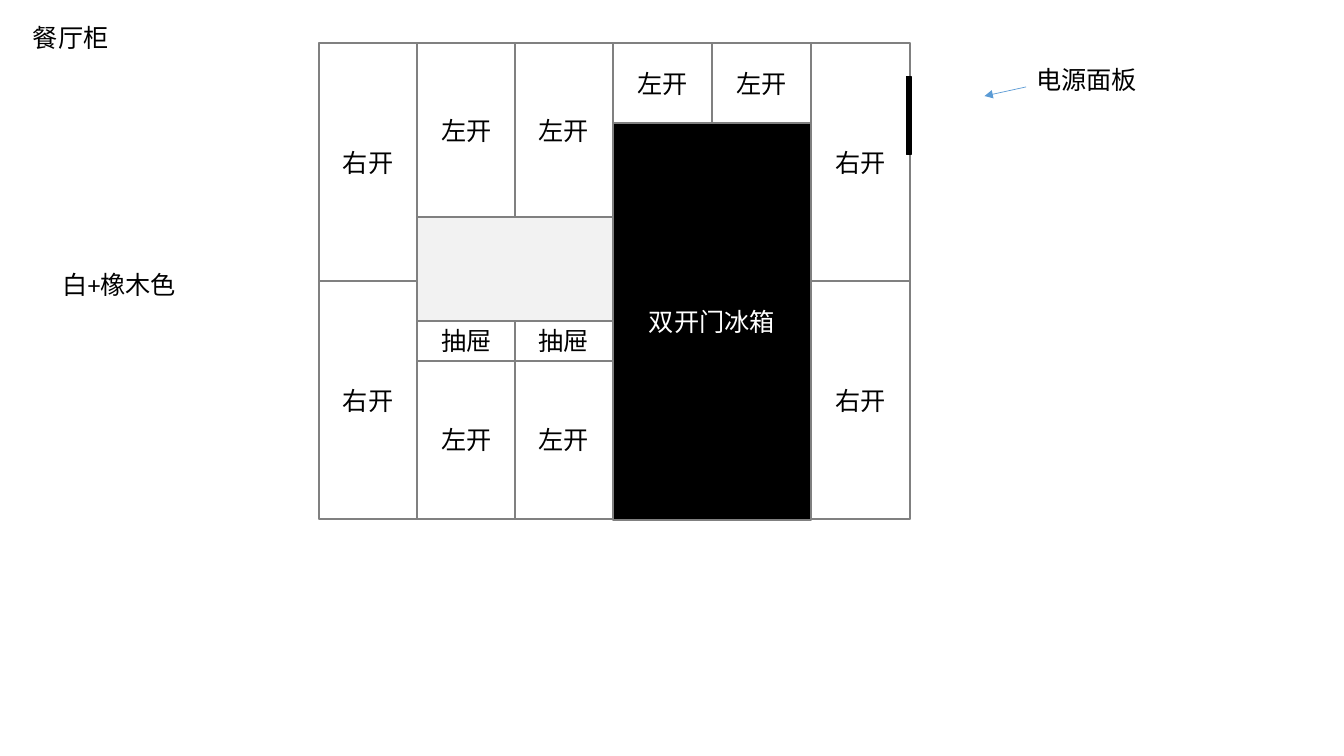
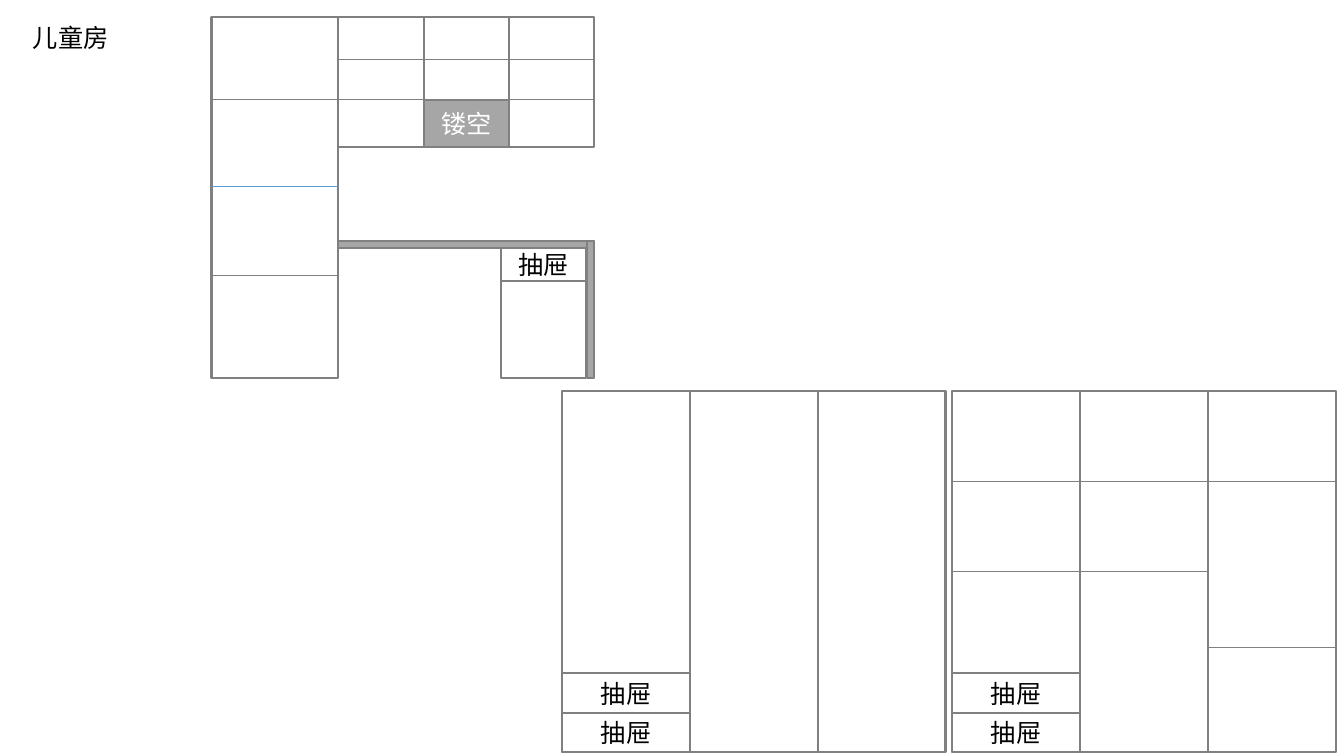
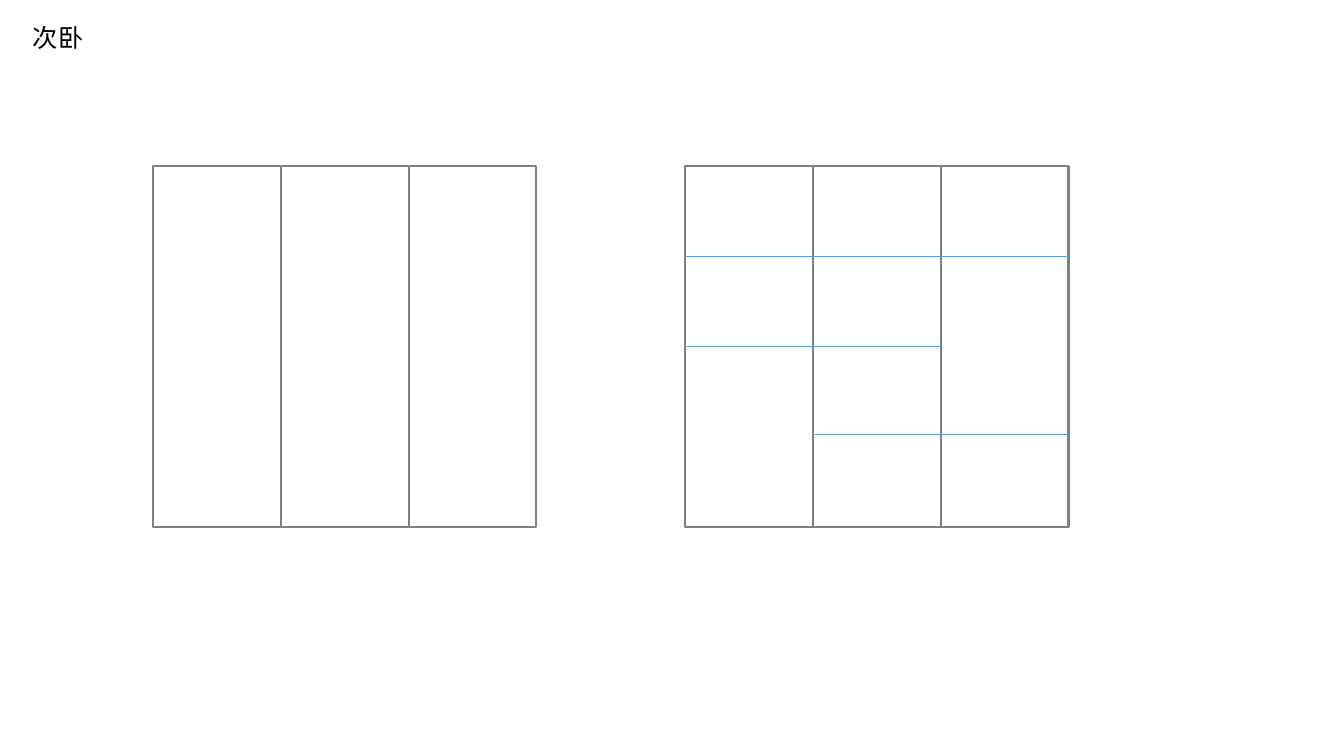
from dataclasses import dataclass

from lxml.etree import SubElement
from pptx import Presentation
from pptx.dml.color import RGBColor
from pptx.enum.shapes import MSO_CONNECTOR, MSO_SHAPE
from pptx.enum.text import MSO_ANCHOR, PP_ALIGN
from pptx.oxml.ns import qn
from pptx.util import Cm, Pt


@dataclass(frozen=True)
class Theme:
    black: str = "000000"
    white: str = "FFFFFF"
    edge: str = "808080"
    grey: str = "A6A6A6"
    pale: str = "F2F2F2"
    pale_edge: str = "D9D9D9"
    blue: str = "5B9BD5"
    latin: str = "Calibri"
    cjk: str = "Noto Sans CJK SC"
    size: float = 18
    border: float = 1.5
    thin: float = 0.5


T = Theme()
BAY_W, WARDROBE_H, DRAWER_H = 3.22, 9.09, 0.99


def write(tf, text, color=T.black, font=T.latin, align=PP_ALIGN.LEFT,
          anchor=MSO_ANCHOR.TOP, wrap=True):
    tf.word_wrap = wrap
    tf.vertical_anchor = anchor
    p = tf.paragraphs[0]
    p.alignment = align
    r = p.add_run()
    r.text = text
    r.font.size = Pt(T.size)
    r.font.name = font
    r.font.color.rgb = RGBColor.from_string(color)
    SubElement(r._r.get_or_add_rPr(), qn("a:ea"), typeface=T.cjk)


class Sketch:
    """Draws furniture elevations; all lengths are centimetres."""

    def __init__(self, prs):
        self.prs = prs
        self.s = None

    def page(self, title):
        self.s = self.prs.slides.add_slide(self.prs.slide_layouts[6])
        self.label(title, 0.58, 0.43, 2.44, font=T.cjk)

    def label(self, text, x, y, w, font=T.latin, wrap=False):
        sp = self.s.shapes.add_textbox(Cm(x), Cm(y), Cm(w), Cm(1.02))
        write(sp.text_frame, text, font=font, wrap=wrap)

    def box(self, x, y, w, h, text="", fill=T.white, color=T.black,
            edge=T.edge, border=T.border):
        sp = self.s.shapes.add_shape(MSO_SHAPE.RECTANGLE, Cm(x), Cm(y), Cm(w), Cm(h))
        sp.shadow.inherit = False
        sp.fill.solid()
        sp.fill.fore_color.rgb = RGBColor.from_string(fill)
        sp.line.color.rgb = RGBColor.from_string(edge)
        sp.line.width = Pt(border)
        if text:
            write(sp.text_frame, text, color=color, align=PP_ALIGN.CENTER,
                  anchor=MSO_ANCHOR.MIDDLE)

    def line(self, x1, y1, x2, y2, color=T.blue, arrow=False):
        c = self.s.shapes.add_connector(MSO_CONNECTOR.STRAIGHT,
                                        Cm(x1), Cm(y1), Cm(x2), Cm(y2))
        c.line.color.rgb = RGBColor.from_string(color)
        c.line.width = Pt(T.thin)
        if arrow:
            SubElement(c.line._get_or_add_ln(), qn("a:tailEnd"), type="triangle")
        SubElement(c._element.spPr, qn("a:effectLst"))

    def bays(self, x, y, w, h, n=3):
        for i in range(n):
            self.box(x + i * w, y, w, h)

    def wardrobe(self, x, y, shelves=(), drawers=0, color=T.blue):
        """Each shelf is (first bay edge, last bay edge, depth below the top)."""
        self.bays(x, y, BAY_W, WARDROBE_H)
        for first, last, depth in shelves:
            self.line(x + first * BAY_W, y + depth, x + last * BAY_W, y + depth, color)
        for i in range(drawers):
            self.box(x, y + WARDROBE_H - (i + 1) * DRAWER_H, BAY_W, DRAWER_H, "抽屉")


def dining_cabinet(d):
    d.page("餐厅柜")
    edges = [8.03, 10.52, 12.98, 15.44, 17.95, 20.44, 22.93]
    top, mid = 1.09, 7.09
    d.box(edges[0], top, edges[-1] - edges[0], 11.99, fill=T.pale, edge=T.pale_edge)

    # Doors and drawers: column, top, height, text
    cells = [(col, y, 6.0, "右开") for col in (0, 5) for y in (top, mid)]
    for col in (1, 2):
        cells += [(col, top, 4.39, "左开"), (col, 8.09, 1.0, "抽屉"),
                  (col, 9.09, 3.99, "左开")]
    cells += [(col, top, 2.01, "左开") for col in (3, 4)]
    for col, y, h, text in cells:
        d.box(edges[col], y, edges[col + 1] - edges[col], h, text)

    # Fridge
    d.box(edges[3], 3.1, edges[5] - edges[3], 10.0, "双开门冰箱",
          fill=T.black, color=T.white)

    # Power panel and notes
    d.box(22.84, 1.93, 0.12, 1.96, fill=T.black, edge=T.black, border=1)
    d.line(25.86, 2.19, 24.81, 2.42, arrow=True)
    d.label("电源面板", 25.86, 1.5, 3.07)
    d.label("白+橡木色", 1.33, 6.65, 3.4, wrap=True)


def child_room(d):
    d.page("儿童房")
    top, tall_x, wall_x, wall_w = 0.43, 5.33, 8.53, 2.15
    right = wall_x + 3 * wall_w

    # Wall cupboards
    d.bays(wall_x, top, wall_w, 3.28)
    d.box(wall_x + wall_w, 2.51, wall_w, 1.2, "镂空", fill=T.grey, color=T.white)

    # Desk
    d.box(12.62, 6.25, 2.16, 3.28)
    d.box(12.62, 6.25, 2.16, 0.83, "抽屉")
    d.box(wall_x, 6.07, right - wall_x, 0.18, fill=T.grey)
    d.box(right - 0.18, 6.07, 0.18, 3.45, fill=T.grey)

    # Tall cabinet and shelves
    d.box(tall_x, top, wall_x - tall_x, WARDROBE_H)
    for x1, x2, y, color in [(wall_x, right, 1.5, T.edge), (tall_x, right, 2.51, T.edge),
                             (tall_x, wall_x, 4.7, T.blue), (tall_x, wall_x, 6.94, T.edge)]:
        d.line(x1, y, x2, y, color)

    # Wardrobe closed and open
    d.wardrobe(14.17, 9.86, drawers=2)
    d.wardrobe(24.0, 9.86, [(0, 3, 2.27), (0, 2, 4.54), (2, 3, 6.45)],
               drawers=2, color=T.edge)


def second_bedroom(d):
    d.page("次卧")
    d.wardrobe(3.86, 4.19)
    d.wardrobe(17.27, 4.19, [(0, 3, 2.27), (0, 2, 4.54), (1, 3, 6.76)])


def main():
    prs = Presentation()
    prs.slide_width, prs.slide_height = Cm(33.87), Cm(19.05)
    d = Sketch(prs)
    for draw in (dining_cabinet, child_room, second_bedroom):
        draw(d)
    prs.save("out.pptx")


if __name__ == "__main__":
    main()
